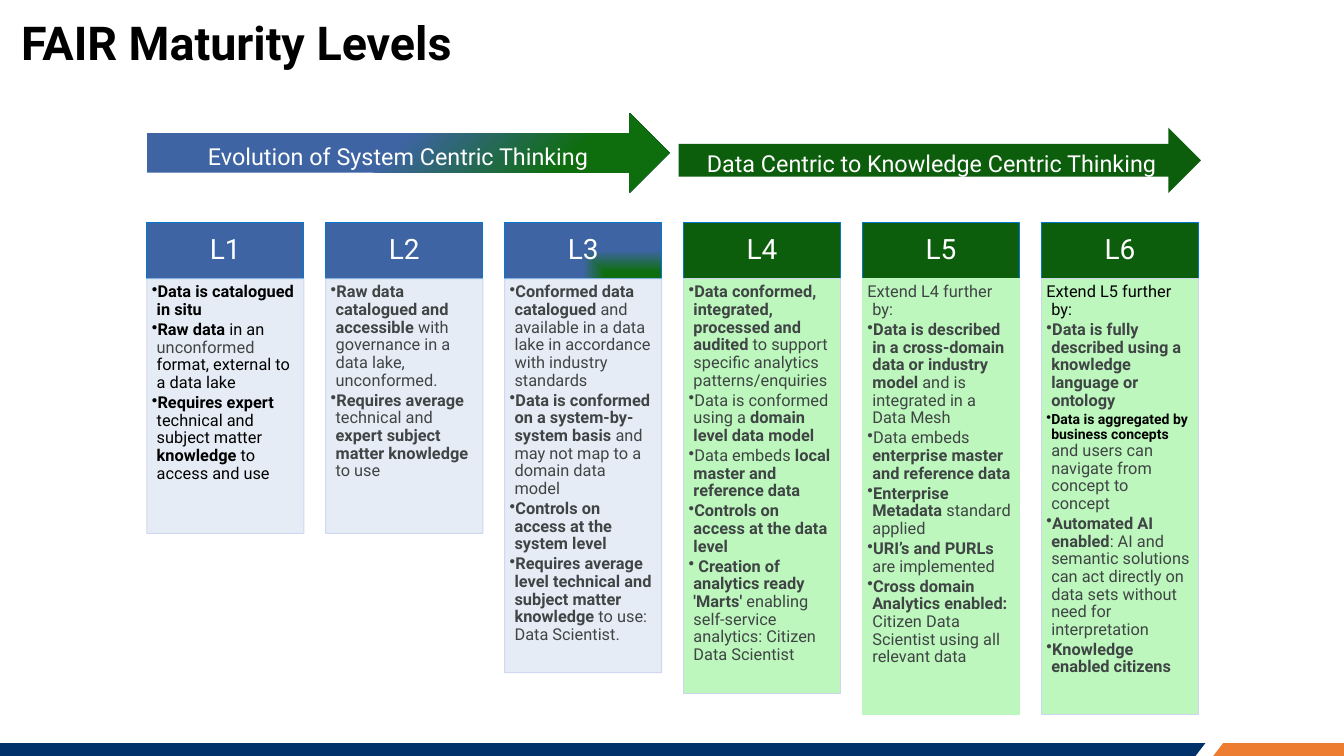
from dataclasses import dataclass

from lxml.etree import SubElement
from pptx import Presentation
from pptx.dml.color import RGBColor
from pptx.enum.shapes import MSO_SHAPE
from pptx.enum.text import MSO_ANCHOR, MSO_AUTO_SIZE, PP_ALIGN
from pptx.oxml import parse_xml
from pptx.oxml.ns import nsdecls, qn
from pptx.util import Cm, Pt

FONT = "Roboto"
COLORS = {
    "black": "000000", "grey": "3F4444", "white": "FFFFFF",
    "navy": "00316B", "orange": "ED7D31",
    "blue": "3E64A3", "green": "0C5D0C", "bright green": "0E6E0E",
    "pale blue": "E4EAF4", "pale green": "BDF7BD",
    "header line": "0078D4", "body line": "CCD6EF",
}
LEFT, PITCH, WIDTH = 4.44, 5.41, 4.75
HEADER_TOP, HEADER_HEIGHT = 6.73, 1.7
CORNER_FADE = '<a:path path="rect"><a:fillToRect l="100000" t="100000"/></a:path>'
DIAGONAL_FADE = '<a:lin ang="2700000" scaled="0"/>'


@dataclass
class Level:
    name: str
    height: float
    header: str
    body: str
    points: list
    text: str = "grey"
    intro: str = ""
    intro_color: str = "grey"
    outline: str = "body line"


# Asterisks switch bold on and off within a point.
LEVELS = [
    Level("L1", 7.7, "blue", "pale blue", [
        "*Data is catalogued in situ*",
        "*Raw data *in an **unconformed** format, external to a data lake",
        "*Requires expert *technical and subject matter *knowledge *to access and use",
    ], text="black"),
    Level("L2", 7.7, "blue", "pale blue", [
        "*Raw data catalogued and accessible* with governance in a data lake, unconformed.",
        "*Requires average *technical and *expert subject matter knowledge *to use",
    ]),
    Level("L3", 11.91, "fade", "pale blue", [
        "*Conformed data catalogued *and available in a data lake in accordance "
        "with industry standards",
        "*Data is conformed on a system-by-system basis *and may not map to a domain data model",
        "*Controls on access at the system level*",
        "*Requires average level technical and subject matter knowledge *to use: Data Scientist.",
    ]),
    Level("L4", 12.55, "green", "pale green", [
        "*Data conformed, integrated, processed and audited *to support specific "
        "analytics patterns/enquiries",
        "Data is conformed using a *domain level data model*",
        "Data embeds *local master and reference data*",
        "*Controls on access at the data level*",
        " *Creation of analytics ready 'Marts' *enabling self-service analytics: "
        "Citizen Data Scientist",
    ]),
    Level("L5", 13.18, "green", "pale green", [
        "*Data is described in a cross-domain data or industry model *and is "
        "integrated in a Data Mesh",
        "Data embeds *enterprise master and reference data*",
        "*Enterprise Metadata *standard applied",
        "*URI’s and PURLs *are implemented",
        "*Cross domain Analytics enabled: *Citizen Data Scientist using all relevant data",
    ], intro="Extend L4 further by:", outline="pale green"),
    Level("L6", 13.18, "green", "pale green", [
        "*Data is fully described using a knowledge language or ontology*",
        "*Data is aggregated by business concepts *and users can navigate from "
        "concept to concept",
        "*Automated AI enabled*: AI and semantic solutions can act directly on data "
        "sets without need for interpretation",
        "*Knowledge enabled citizens*",
    ], intro="Extend L5 further by:", intro_color="black"),
]
# Spans that differ from their paragraph: colour and size.
SPECIAL_SPANS = {
    "unconformed": ("grey", 14),
    "Data is aggregated by business concepts ": ("black", 12),
}


def rgb(name):
    return RGBColor.from_string(COLORS[name])


def set_font(font, size, color):
    font.name = FONT
    font.size = Pt(size)
    font.color.rgb = rgb(color)


def fill_solid(shape, color):
    shape.fill.solid()
    shape.fill.fore_color.rgb = rgb(color)


def fill_fade(shape, stops, direction):
    """Fill with a gradient; stops are (percent, colour) pairs."""
    stop_xml = "".join(
        f'<a:gs pos="{percent * 1000}"><a:srgbClr val="{COLORS[color]}"/></a:gs>'
        for percent, color in stops)
    properties = shape.fill._xPr
    shape.fill.background()
    properties.replace(properties.find(qn("a:noFill")), parse_xml(
        f'<a:gradFill rotWithShape="1" {nsdecls("a")}><a:gsLst>{stop_xml}</a:gsLst>'
        f'{direction}</a:gradFill>'))


def make_translucent(shape):
    for color in shape._element.spPr.iter(qn("a:srgbClr")):
        SubElement(color, qn("a:alpha"), val="90000")


def add_box(page, preset, left, top, width, height, line=None):
    box = page.shapes.add_shape(preset, Cm(left), Cm(top), Cm(width), Cm(height))
    box.shadow.inherit = False
    if line:
        box.line.color.rgb = rgb(line)
        box.line.width = Pt(0.85)
    else:
        box.line.fill.background()
    return box


def set_margins(frame, left, top, right, bottom):
    frame.margin_left, frame.margin_top = Cm(left), Cm(top)
    frame.margin_right, frame.margin_bottom = Cm(right), Cm(bottom)


def write_centred(box, text, size, spacing):
    frame = box.text_frame
    frame.word_wrap = True
    frame.vertical_anchor = MSO_ANCHOR.MIDDLE
    para = frame.paragraphs[0]
    para.text = text
    para.alignment = PP_ALIGN.CENTER
    para.line_spacing = spacing
    set_font(para.font, size, "white")


def write_point(para, text, color, bullet=True):
    para.alignment = PP_ALIGN.LEFT
    para.line_spacing = 0.9
    para.space_after = Pt(2)
    properties = para._p.get_or_add_pPr()
    properties.set("marL", str(Cm(0.15)))
    properties.set("indent", str(-Cm(0.15)))
    if bullet:
        SubElement(properties, qn("a:buChar"), char="•")
    set_font(para.font, 14, color)
    for index, text_part in enumerate(text.split("*")):
        if not text_part:
            continue
        span = para.add_run()
        span.text = text_part
        span.font.bold = index % 2 == 1
        if text_part in SPECIAL_SPANS:
            span_color, size = SPECIAL_SPANS[text_part]
            set_font(span.font, size, span_color)


def add_level(page, level, left):
    header = add_box(page, MSO_SHAPE.RECTANGLE, left, HEADER_TOP, WIDTH, HEADER_HEIGHT,
                     "header line")
    if level.header == "fade":
        fill_fade(header, [(25, "bright green"), (100, "blue")], CORNER_FADE)
    else:
        fill_solid(header, level.header)
    set_margins(header.text_frame, 0.33, 0.2, 0.33, 0.2)
    write_centred(header, level.name, 24, 0.9)

    body = add_box(page, MSO_SHAPE.RECTANGLE, left, HEADER_TOP + HEADER_HEIGHT, WIDTH,
                   level.height, level.outline)
    fill_solid(body, level.body)
    if level.body == "pale blue":
        make_translucent(body)
    frame = body.text_frame
    frame.word_wrap = True
    frame.vertical_anchor = MSO_ANCHOR.TOP
    set_margins(frame, 0.15, 0.15, 0.23, 0.25)
    para = frame.paragraphs[0]
    if level.intro:
        write_point(para, level.intro, level.intro_color, bullet=False)
        para = frame.add_paragraph()
    for index, point in enumerate(level.points):
        write_point(para if index == 0 else frame.add_paragraph(), point, level.text)


def add_band(page, color, corners):
    points = [(Cm(x), Cm(y)) for x, y in corners]
    builder = page.shapes.build_freeform(*points[0])
    builder.add_line_segments(points[1:])
    band = builder.convert_to_shape()
    band.shadow.inherit = False
    fill_solid(band, color)
    band.line.fill.background()


def add_footer(page):
    top, bottom, right = 22.47, 22.86, 40.64
    add_band(page, "orange", [(11.61, top), (right, top), (right, bottom), (11.15, bottom)])
    for color, end in (("white", 36.98), ("navy", 36.45)):
        add_band(page, color, [(0, top), (0, bottom), (end - 0.3, bottom), (end, top)])


def add_title(page, text):
    title = page.shapes.title
    title.left, title.top, title.width, title.height = Cm(0.64), Cm(0.43), Cm(28.45), Cm(1.7)
    frame = title.text_frame
    frame.auto_size = MSO_AUTO_SIZE.NONE
    frame.vertical_anchor = MSO_ANCHOR.TOP
    set_margins(frame, 0, 0, 0, 0)
    para = frame.paragraphs[0]
    para.text = text
    para.alignment = PP_ALIGN.LEFT
    set_font(para.font, 40, "black")
    para.font.bold = True


def add_arrows(page):
    system = add_box(page, MSO_SHAPE.RIGHT_ARROW, 4.44, 3.43, 15.8, 2.39)
    fill_fade(system, [(47, "blue"), (78, "bright green")], DIAGONAL_FADE)
    write_centred(system, "Evolution of System Centric Thinking", 20, 1.2)
    knowledge = add_box(page, MSO_SHAPE.RIGHT_ARROW, 20.52, 3.86, 15.8, 1.98)
    fill_solid(knowledge, "green")
    write_centred(knowledge, "Data Centric to Knowledge Centric Thinking", 20, 1.2)


def main():
    deck = Presentation()
    deck.slide_width, deck.slide_height = Cm(40.64), Cm(22.86)
    page = deck.slides.add_slide(deck.slide_layouts[5])
    add_footer(page)
    add_title(page, "FAIR Maturity Levels")
    for index, level in enumerate(LEVELS):
        add_level(page, level, LEFT + index * PITCH)
    add_arrows(page)
    deck.save("out.pptx")


if __name__ == "__main__":
    main()
